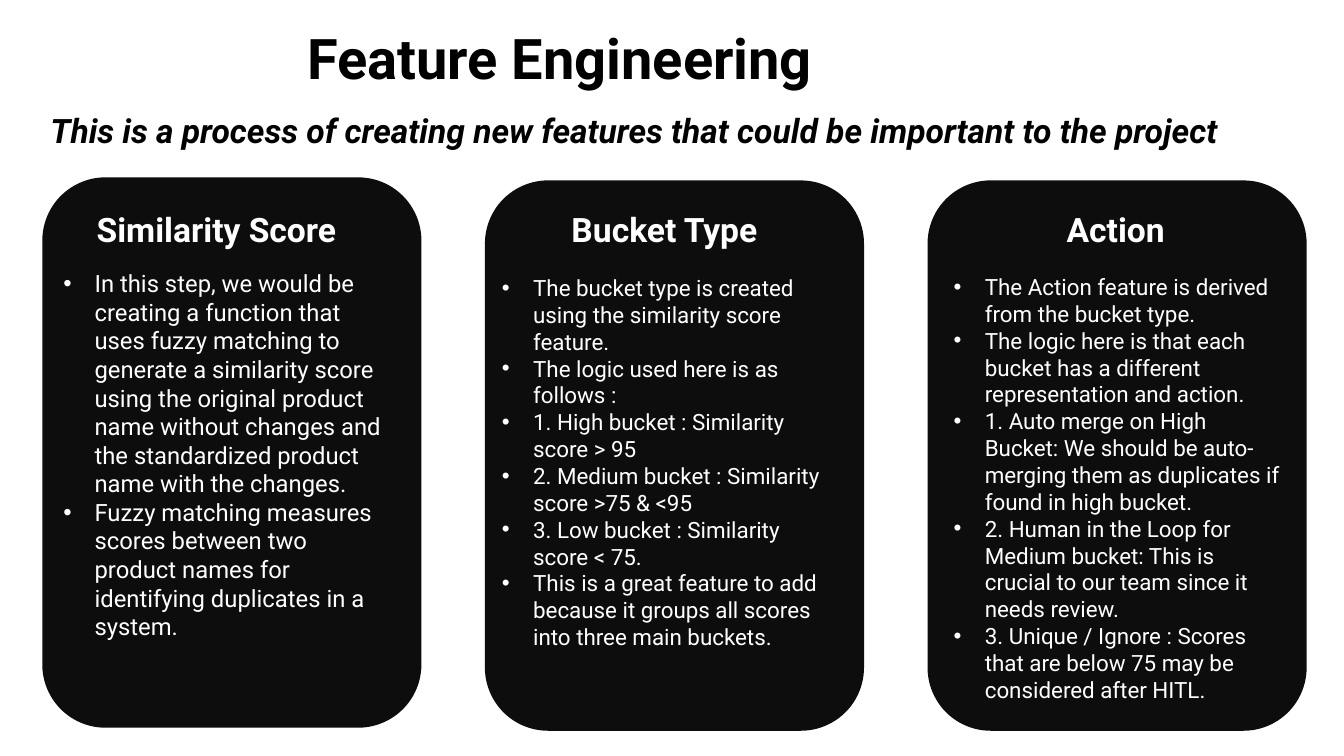
from lxml.etree import SubElement
from pptx import Presentation
from pptx.dml.color import RGBColor
from pptx.enum.shapes import MSO_SHAPE
from pptx.enum.text import MSO_ANCHOR, MSO_AUTO_SIZE, PP_ALIGN
from pptx.oxml.ns import qn
from pptx.util import Pt

EMU_PER_PX = 9144  # 100 px to the inch
COLORS = {"ink": "000000", "card": "0D0D0D", "paper": "FFFFFF"}
FONT = "Roboto"
BULLET_INDENT = 31
CARD_WIDTH, CARD_HEIGHT, CARD_PITCH = 376, 546, 439
HEADING_TOP, HEADING_HEIGHT = 202, 50
BODY_WIDTH = 344

# card top, heading (left, width), body (left, top, height), body size, wording
CARDS = [
    (176, "Similarity Score", (86, 278), (53, 262, 353), 17, [
        "In this step, we would be creating a function that uses fuzzy matching "
        "to generate a similarity score using the original product name without "
        "changes and the standardized product name with the changes.",
        "Fuzzy matching measures scores between two product names for "
        "identifying duplicates in a system.",
    ]),
    (179, "Bucket Type", (557, 244), (488, 267, 387), 16, [
        "The bucket type is created using the similarity score feature.",
        "The logic used here is as follows :",
        "1. High bucket : Similarity score > 95",
        "2. Medium bucket : Similarity score >75 & <95",
        "3. Low bucket : Similarity score < 75.",
        "This is a great feature to add because it groups all scores into three "
        "main buckets.",
    ]),
    (179, "Action", (1048, 122), (936, 266, 441), 16, [
        "The Action feature is derived from the bucket type.",
        "The logic here is that each bucket has a different representation and "
        "action.",
        "1. Auto merge on High Bucket: We should be auto-merging them as "
        "duplicates if found in high bucket.",
        "2. Human in the Loop for Medium bucket: This is crucial to our team "
        "since it needs review.",
        "3. Unique / Ignore : Scores that are below 75 may be considered after "
        "HITL.",
    ]),
]


def px(*lengths):
    return [length * EMU_PER_PX for length in lengths]


class SlideBuilder:
    def __init__(self, presentation):
        title_only = presentation.slide_layouts[5]
        self.slide = presentation.slides.add_slide(title_only)

    def style(self, paragraph, size, color, bold=False, italic=False):
        font = paragraph.font
        font.name, font.size = FONT, Pt(size)
        font.bold, font.italic = bold, italic
        font.color.rgb = RGBColor.from_string(COLORS[color])

    def title(self, wording, box, size):
        title = self.slide.shapes.title
        title.left, title.top, title.width, title.height = px(*box)
        frame = title.text_frame
        frame.text = wording
        frame.vertical_anchor = MSO_ANCHOR.MIDDLE
        frame.auto_size = MSO_AUTO_SIZE.NONE
        paragraph = frame.paragraphs[0]
        paragraph.alignment, paragraph.line_spacing = PP_ALIGN.CENTER, 0.9
        self.style(paragraph, size, "ink", bold=True)

    def text(self, lines, box, size, color, bold=False, italic=False, bullets=False):
        frame = self.slide.shapes.add_textbox(*px(*box)).text_frame
        frame.word_wrap = True
        frame.auto_size = MSO_AUTO_SIZE.SHAPE_TO_FIT_TEXT
        frame.text = "\n".join(lines)
        for paragraph in frame.paragraphs:
            if bullets:
                self.bullet(paragraph)
            self.style(paragraph, size, color, bold, italic)
        return frame

    def bullet(self, paragraph):
        properties = paragraph._p.get_or_add_pPr()
        indent, = px(BULLET_INDENT)
        properties.set("marL", str(indent))
        properties.set("indent", str(-indent))
        SubElement(properties, qn("a:buFont"), typeface="Arial")
        SubElement(properties, qn("a:buChar"), char="•")

    def subtitle(self, wording, box, size):
        frame = self.text([wording], box, size, "ink", bold=True, italic=True)
        frame.auto_size = MSO_AUTO_SIZE.NONE
        paragraph = frame.paragraphs[0]
        paragraph.alignment, paragraph.line_spacing = PP_ALIGN.CENTER, 0.9
        paragraph.space_before = Pt(10)

    def card(self, box):
        card = self.slide.shapes.add_shape(MSO_SHAPE.ROUNDED_RECTANGLE, *px(*box))
        card.shadow.inherit = False
        card.fill.solid()
        card.fill.fore_color.rgb = RGBColor.from_string(COLORS["card"])
        card.line.fill.background()


def main():
    presentation = Presentation()
    presentation.slide_width, presentation.slide_height = px(1333, 750)
    builder = SlideBuilder(presentation)
    builder.title("Feature Engineering", (74, 25, 962, 71), 40)
    builder.subtitle(
        "This is a process of creating new features that could be important "
        "to the project", (12, 109, 1234, 71), 24)

    for column, (top, heading, heading_span, body_box, size, points) in enumerate(CARDS):
        builder.card((42 + column * CARD_PITCH, top, CARD_WIDTH, CARD_HEIGHT))
        heading_left, heading_width = heading_span
        builder.text([heading], (heading_left, HEADING_TOP, heading_width, HEADING_HEIGHT),
                     24, "paper", bold=True)
        body_left, body_top, body_height = body_box
        builder.text(points, (body_left, body_top, BODY_WIDTH, body_height),
                     size, "paper", bullets=True)

    presentation.save("out.pptx")


if __name__ == "__main__":
    main()
